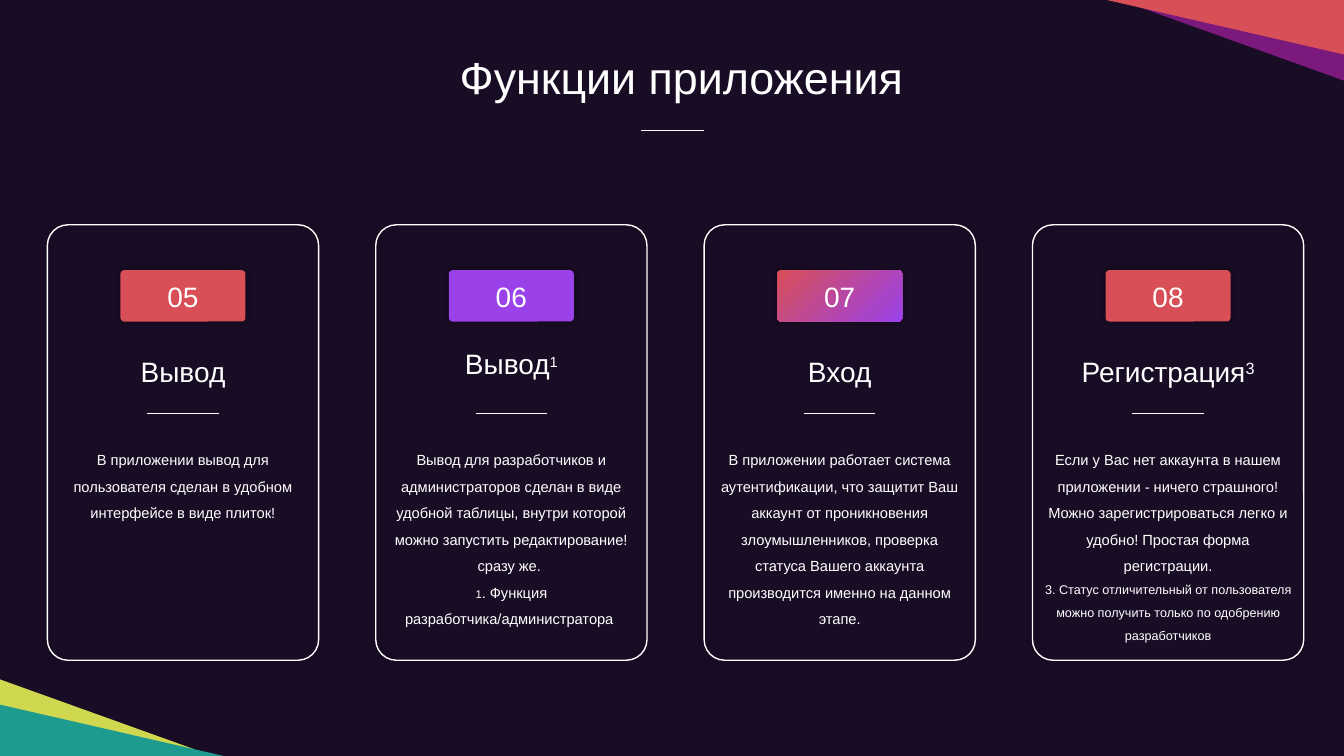
from dataclasses import dataclass

from lxml.etree import SubElement
from pptx import Presentation
from pptx.dml.color import RGBColor
from pptx.enum.shapes import MSO_CONNECTOR, MSO_SHAPE
from pptx.enum.text import MSO_ANCHOR, MSO_AUTO_SIZE, PP_ALIGN
from pptx.oxml.ns import qn
from pptx.util import Inches, Pt


@dataclass(frozen=True)
class Theme:
    font: str = "Arial"
    night: str = "190C25"
    white: str = "FFFFFF"
    coral: str = "D94F57"
    violet: str = "9A41EA"
    plum: str = "7B197C"
    lime: str = "D0D84F"
    teal: str = "1E9B8F"
    title: float = 32
    heading: float = 20
    mark: float = 18
    body: float = 10.5
    note: float = 9
    tiny: float = 8


THEME = Theme()
PAGE_WIDTH, PAGE_HEIGHT = 13.33, 7.5
CARD_WIDTH, CARD_HEIGHT, CARD_TOP = 2.69, 4.32, 2.23
FIRST_LEFT, LAST_LEFT = 0.47, 10.24

# Each paragraph is a list of (text, size, raised); a line break ends a text with "\n".
CARDS = [
    dict(number="05", colors=[THEME.coral], heading_top=1.24,
         heading=[("Вывод", THEME.heading, False)],
         body=[[("В приложении вывод для пользователя сделан в удобном "
                 "интерфейсе в виде плиток!", THEME.body, False)]]),
    dict(number="06", colors=[THEME.violet], heading_top=1.16,
         heading=[("Вывод", THEME.heading, False), ("1", THEME.mark, True)],
         body=[[("Вывод для разработчиков и администраторов сделан в виде "
                 "удобной таблицы, внутри которой можно запустить "
                 "редактирование! сразу же. \n", THEME.body, False),
                ("1", THEME.tiny, False),
                (". Функция разработчика/администратора ", THEME.body, False)]]),
    dict(number="07", colors=[THEME.coral, THEME.violet], heading_top=1.24,
         heading=[("Вход", THEME.heading, False)],
         body=[[("В приложении работает система аутентификации, что защитит "
                 "Ваш аккаунт от проникновения злоумышленников, проверка "
                 "статуса Вашего аккаунта производится именно на данном "
                 "этапе.", THEME.body, False)]]),
    dict(number="08", colors=[THEME.coral], heading_top=1.24,
         heading=[("Регистрация", THEME.heading, False), ("3", THEME.heading, True)],
         body=[[("Если у Вас нет аккаунта в нашем приложении - ничего "
                 "страшного! Можно зарегистрироваться легко и удобно! Простая "
                 "форма регистрации.", THEME.body, False)],
               [("3. Статус отличительный от пользователя можно получить "
                 "только по одобрению разработчиков", THEME.note, False)]]),
]


def paint(shape, colors):
    """Fill with one colour, a diagonal gradient of two, or nothing."""
    shape.shadow.inherit = False
    shape.line.fill.background()
    if not colors:
        shape.fill.background()
    elif len(colors) == 1:
        shape.fill.solid()
        shape.fill.fore_color.rgb = RGBColor.from_string(colors[0])
    else:
        shape.fill.gradient()
        shape.fill.gradient_angle = 315
        for stop, color in zip(shape.fill.gradient_stops, colors):
            stop.color.rgb = RGBColor.from_string(color)


def add_shape(parts, kind, left, top, width, height, colors):
    shape = parts.add_shape(kind, Inches(left), Inches(top), Inches(width), Inches(height))
    paint(shape, colors)
    return shape


def add_polygon(parts, points, color):
    corners = [(Inches(x), Inches(y)) for x, y in points]
    builder = parts.build_freeform(*corners[0])
    builder.add_line_segments(corners[1:], close=True)
    paint(builder.convert_to_shape(), [color])


def add_panel(parts, left, top, width, height, colors):
    """Rounded rectangle with a soft shadow all round."""
    panel = add_shape(parts, MSO_SHAPE.ROUNDED_RECTANGLE, left, top, width, height, colors)
    panel.adjustments[0] = 0.076
    effects = panel._element.spPr.find(qn("a:effectLst"))
    shadow = SubElement(effects, qn("a:outerShdw"), blurRad=str(Pt(5)), dist="0", dir="0",
                        algn="ctr", rotWithShape="0")
    black = SubElement(shadow, qn("a:srgbClr"), val="000000")
    SubElement(black, qn("a:alpha"), val="40000")
    return panel


def add_rule(parts, left, top, width):
    rule = parts.add_connector(MSO_CONNECTOR.STRAIGHT, Inches(left), Inches(top),
                               Inches(left + width), Inches(top))
    rule.line.color.rgb = RGBColor.from_string(THEME.white)
    rule.line.width = Pt(0.5)
    SubElement(rule._element.spPr, qn("a:effectLst"))


def style_span(span, size, raised=False):
    span.font.name = THEME.font
    span.font.size = Pt(size)
    span.font.color.rgb = RGBColor.from_string(THEME.white)
    if raised:
        span._r.get_or_add_rPr().set("baseline", "30000")


def add_text(parts, left, top, width, height, paragraphs, spacing=None):
    box = parts.add_textbox(Inches(left), Inches(top), Inches(width), Inches(height))
    frame = box.text_frame
    frame.word_wrap = True
    frame.auto_size = MSO_AUTO_SIZE.SHAPE_TO_FIT_TEXT
    for index, pieces in enumerate(paragraphs):
        para = frame.add_paragraph() if index else frame.paragraphs[0]
        para.alignment = PP_ALIGN.CENTER
        if spacing:
            para.line_spacing = spacing
        for text, size, raised in pieces:
            span = para.add_run()
            span.text = text.rstrip("\n")
            style_span(span, size, raised)
            if text.endswith("\n"):
                para.add_line_break()


def add_backdrop(page):
    add_shape(page.shapes, MSO_SHAPE.RECTANGLE, 0, 0, PAGE_WIDTH, PAGE_HEIGHT, [THEME.night])
    # Bottom left corner
    corner = page.shapes.add_group_shape().shapes
    add_polygon(corner, [(0, 7.25), (0, 6.74), (1.92, 7.43)], THEME.lime)
    add_shape(corner, MSO_SHAPE.RIGHT_TRIANGLE, 0, 6.99, 2.22, 0.51, [THEME.teal])
    # Top right corner
    corner = page.shapes.add_group_shape().shapes
    add_polygon(corner, [(PAGE_WIDTH, 0.27), (PAGE_WIDTH, 0.8), (11.3, 0.07)], THEME.plum)
    wedge = add_shape(corner, MSO_SHAPE.RIGHT_TRIANGLE, 10.98, 0, 2.35, 0.54, [THEME.coral])
    wedge.rotation = 180


def add_header(page, left, top, width):
    title = [("Функции приложения", THEME.title, False)]
    add_text(page.shapes, left, top, width, 0.64, [title])
    add_rule(page.shapes, left + 1.96, top + 0.85, 0.62)


def add_card(page, left, top, width, height, card):
    parts = page.shapes.add_group_shape().shapes
    # Outline
    outline = add_panel(parts, left, top, width, height, [])
    outline.line.color.rgb = RGBColor.from_string(THEME.white)
    outline.line.width = Pt(1)
    # Number badge
    badge = add_panel(parts, left + (width - 1.24) / 2, top + 0.45, 1.24, 0.51, card["colors"])
    frame = badge.text_frame
    frame.text = card["number"]
    frame.vertical_anchor = MSO_ANCHOR.MIDDLE
    frame.paragraphs[0].alignment = PP_ALIGN.CENTER
    style_span(frame.paragraphs[0].runs[0], THEME.heading)
    # Heading, rule and description
    add_text(parts, left, top + card["heading_top"], width, 0.44, [card["heading"]])
    add_rule(parts, left + (width - 0.71) / 2, top + 1.87, 0.71)
    add_text(parts, left, top + 2.11, width, 1.95, card["body"], spacing=1.5)


def main():
    deck = Presentation()
    deck.slide_width, deck.slide_height = Inches(PAGE_WIDTH), Inches(PAGE_HEIGHT)
    page = deck.slides.add_slide(deck.slide_layouts[6])
    add_backdrop(page)
    add_header(page, 4.4, 0.44, 4.72)
    pitch = (LAST_LEFT - FIRST_LEFT) / (len(CARDS) - 1)
    for index, card in enumerate(CARDS):
        add_card(page, FIRST_LEFT + index * pitch, CARD_TOP, CARD_WIDTH, CARD_HEIGHT, card)
    deck.save("out.pptx")


if __name__ == "__main__":
    main()
